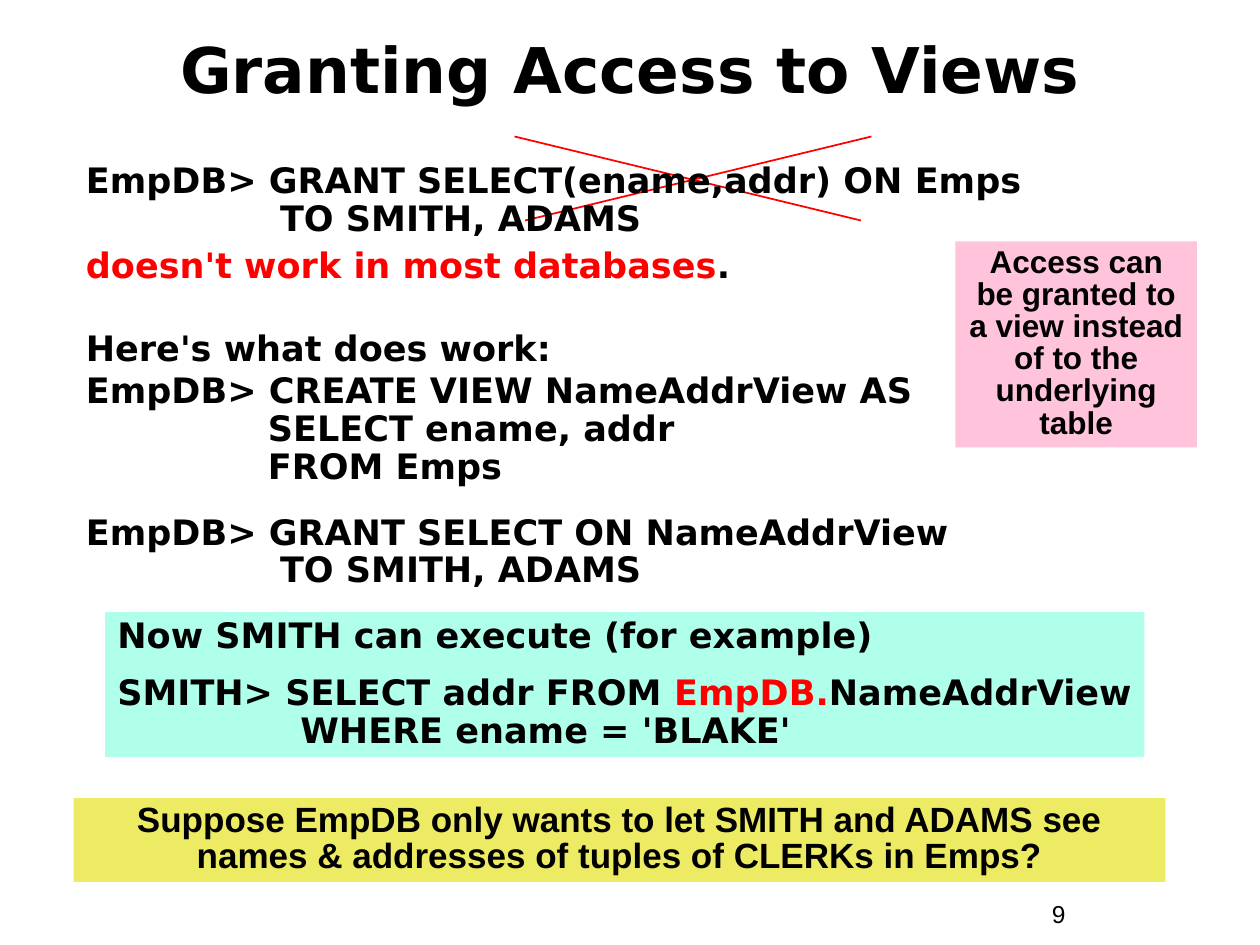
from dataclasses import dataclass

from lxml import etree
from pptx import Presentation
from pptx.dml.color import RGBColor
from pptx.enum.shapes import MSO_CONNECTOR, MSO_SHAPE
from pptx.enum.text import MSO_ANCHOR, PP_ALIGN
from pptx.oxml.ns import qn
from pptx.util import Inches, Pt

LINE, RECTANGLE = MSO_CONNECTOR.STRAIGHT, MSO_SHAPE.RECTANGLE
LEFT, CENTER = PP_ALIGN.LEFT, PP_ALIGN.CENTER
TOP, MIDDLE = MSO_ANCHOR.TOP, MSO_ANCHOR.MIDDLE
CELLS_PER_INCH = 12


@dataclass(frozen=True)
class Theme:
    """Colours, fonts and type sizes of the slide."""
    ink: str = "000000"
    alert: str = "FF0000"
    question_fill: str = "EDEA63"
    remark_fill: str = "FFC3DB"
    example_fill: str = "AFFFEA"
    code_font: str = "DejaVu Sans"
    note_font: str = "Arial"
    title_size: int = 36
    text_size: int = 20
    remark_size: int = 18
    number_size: int = 14


THEME = Theme()
GRANT = [
    (0, [("EmpDB> GRANT SELECT(ename,addr) ON Emps\n            TO SMITH, ADAMS", THEME.ink)]),
    (5, [("doesn't work in most databases", THEME.alert), (".", THEME.ink)]),
    (26, [("Here's what does work:", THEME.ink)]),
    (2.5, [("EmpDB> CREATE VIEW NameAddrView AS\n           SELECT ename, addr\n"
            "           FROM Emps", THEME.ink)]),
    (16, [("EmpDB> GRANT SELECT ON NameAddrView\n            TO SMITH, ADAMS", THEME.ink)]),
]
EXAMPLE = [
    (0, [("Now SMITH can execute (for example)", THEME.ink)]),
    (11, [("SMITH> SELECT addr FROM ", THEME.ink), ("EmpDB.", THEME.alert),
          ("NameAddrView\n               WHERE ename = 'BLAKE'", THEME.ink)]),
]
QUESTION = ("Suppose EmpDB only wants to let SMITH and ADAMS see "
            "names & addresses of tuples of CLERKs in Emps?")
REMARK = "Access can be granted to a view instead of to the underlying table"


def cells(*counts):
    """Turn grid cell counts into lengths."""
    return [Inches(count / CELLS_PER_INCH) for count in counts]


def set_values(target, values):
    """Set every attribute named in a dict of format values."""
    for name, value in values.items():
        setattr(target, name, value)


def plain(text):
    """Give one line of text the form of a list of paragraphs."""
    return [(0, [(text, THEME.ink)])]


def add_runs(paragraph, text, colour, font):
    """Add text to a paragraph, with a line break at each newline."""
    for index, line in enumerate(text.split("\n")):
        if index:
            paragraph.add_line_break()
        run = paragraph.add_run()
        run.text = line
        set_values(run.font, font)
        run.font.color.rgb = RGBColor.from_string(colour)


def write(shape, paragraphs, font, size, align=LEFT, spacing=1.0, anchor=TOP, bold=True, hanging=0):
    """Fill a shape with formatted paragraphs."""
    frame = shape.text_frame
    set_values(frame, {
        "word_wrap": True, "vertical_anchor": anchor,
        "margin_left": Inches(0.1), "margin_right": Inches(0.1 if align == CENTER else 0),
        "margin_top": Inches(0.05), "margin_bottom": Inches(0.05),
    })
    for index, (space_before, runs) in enumerate(paragraphs):
        paragraph = frame.add_paragraph() if index else frame.paragraphs[0]
        set_values(paragraph, {
            "alignment": align, "line_spacing": spacing, "space_before": Pt(space_before)})
        if hanging:
            properties = paragraph._p.get_or_add_pPr()
            properties.set("marL", str(Inches(hanging)))
            properties.set("indent", str(-Inches(hanging)))
        for text, colour in runs:
            add_runs(paragraph, text, colour, {"name": font, "size": Pt(size), "bold": bold})


def add_text(slide, area, paragraphs, font, size, **style):
    """Add a text box on the grid."""
    write(slide.shapes.add_textbox(*cells(*area)), paragraphs, font, size, **style)


def add_panel(slide, area, fill, paragraphs, font, size, **style):
    """Add a coloured rectangle with text on the grid."""
    panel = slide.shapes.add_shape(RECTANGLE, *cells(*area))
    panel.shadow.inherit = False
    panel.fill.solid()
    panel.fill.fore_color.rgb = RGBColor.from_string(fill)
    panel.line.fill.background()
    write(panel, paragraphs, font, size, **style)


def add_stroke(slide, ends):
    """Add one stroke of the cross that rejects the first statement."""
    stroke = slide.shapes.add_connector(LINE, *cells(*ends))
    stroke.line.color.rgb = RGBColor.from_string(THEME.alert)
    stroke.line.width = Pt(1)
    etree.SubElement(stroke._element.spPr, qn("a:effectLst"))


def main():
    """Build the slide and save it."""
    presentation = Presentation()
    set_values(presentation, {"slide_width": Inches(10), "slide_height": Inches(7.5)})
    slide = presentation.slides.add_slide(presentation.slide_layouts[6])
    code, note = THEME.code_font, THEME.note_font

    add_text(slide, (99, 85, 11, 4), plain("9"), note, THEME.number_size, bold=False)
    for ends in ((49, 13, 82, 21), (83, 13, 50, 21)):
        add_stroke(slide, ends)
    add_text(slide, (4, 1, 112, 11), plain("Granting Access to Views"), code,
             THEME.title_size, align=CENTER, anchor=MIDDLE)
    add_text(slide, (7, 15, 102, 44), GRANT, code, THEME.text_size, spacing=0.9, hanging=0.38)
    add_panel(slide, (7, 76, 104, 8), THEME.question_fill, plain(QUESTION), note,
              THEME.text_size, align=CENTER, spacing=0.85)
    add_panel(slide, (91, 23, 23, 19.6), THEME.remark_fill, plain(REMARK), note,
              THEME.remark_size, align=CENTER, spacing=0.85)
    add_panel(slide, (10, 58.3, 99, 13.8), THEME.example_fill, EXAMPLE, code,
              THEME.text_size, spacing=0.9)
    presentation.save("out.pptx")


if __name__ == "__main__":
    main()
